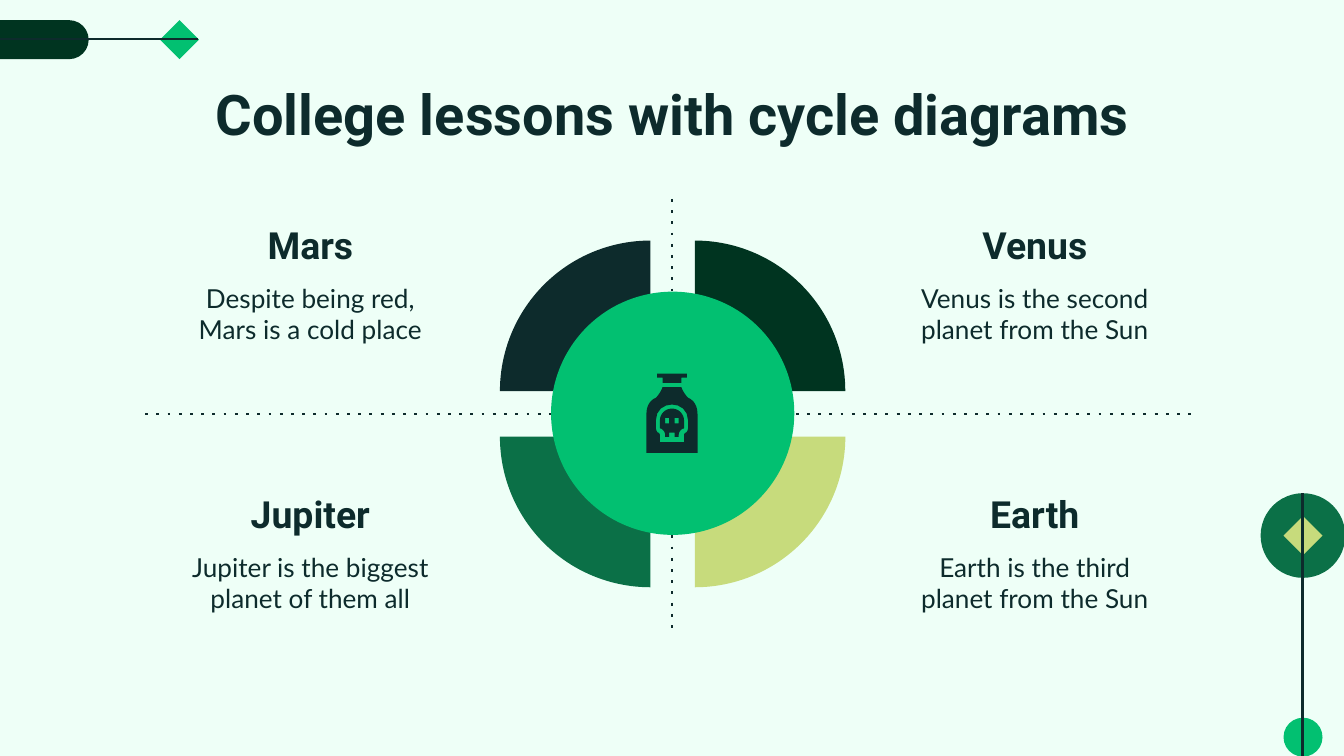
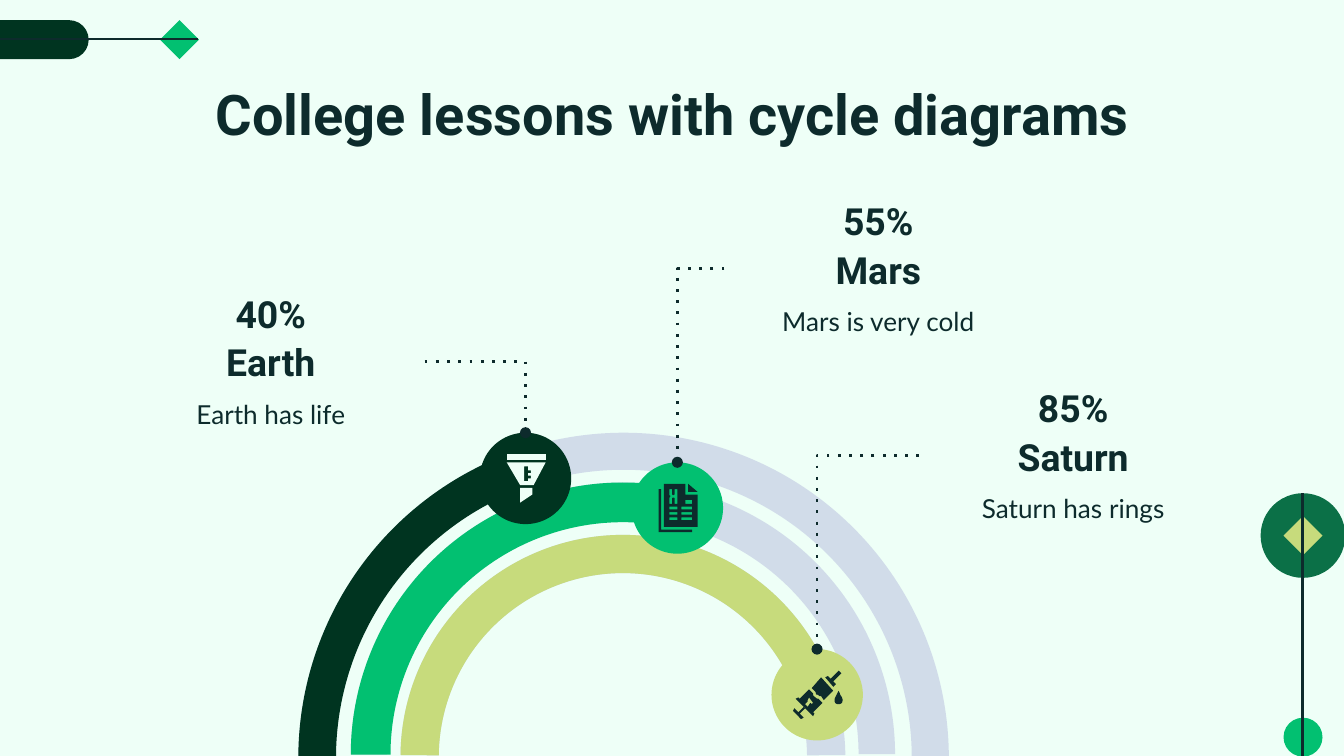
from lxml.etree import SubElement
from pptx import Presentation
from pptx.dml.color import RGBColor
from pptx.enum.shapes import MSO_CONNECTOR, MSO_SHAPE
from pptx.enum.text import MSO_ANCHOR, MSO_AUTO_SIZE, PP_ALIGN
from pptx.oxml.ns import qn
from pptx.util import Inches, Pt

COLORS = {
    "background": "EEFFF7",
    "ink": "0D2B2C",
    "forest": "003420",
    "green": "0B7047",
    "emerald": "02C071",
    "lime": "C7DB7C",
    "track": "5E54B5",
}
TITLE = "College lessons with cycle diagrams"


def rectangle(left, top, right, bottom):
    return [(left, top), (right, top), (right, bottom), (left, bottom)]


def flatten(contour, steps=8):
    """Turn a contour of (x, y) points and six-number Bézier curves into points."""
    points = []
    for part in contour:
        if len(part) == 2:
            points.append(part)
            continue
        x0, y0 = points[-1]
        x1, y1, x2, y2, x3, y3 = part
        for step in range(1, steps + 1):
            t = step / steps
            u = 1 - t
            weights = (u ** 3, 3 * u * u * t, 3 * u * t * t, t ** 3)
            points.append((
                sum(w * x for w, x in zip(weights, (x0, x1, x2, x3))),
                sum(w * y for w, y in zip(weights, (y0, y1, y2, y3))),
            ))
    return points


# Icons: each is a list of outlines, each outline a list of contours
BOTTLE = [
    [[(4.93, 2.85), (5.07, 2.85), (5.07, 2.81), (5.11, 2.81), (5.11, 2.78),
      (4.89, 2.78), (4.89, 2.81), (4.93, 2.81)]],
    [[(5, 3.04), (4.95, 3.04, 4.91, 3.08, 4.91, 3.13), (4.91, 3.18),
      (4.91, 3.19, 4.92, 3.19, 4.92, 3.19), (4.94, 3.2, 4.95, 3.22, 4.95, 3.24),
      (4.95, 3.25), (4.98, 3.25), (4.98, 3.22), (5.02, 3.22), (5.02, 3.25),
      (5.05, 3.25), (5.05, 3.24), (5.05, 3.22, 5.06, 3.2, 5.08, 3.19),
      (5.09, 3.19, 5.09, 3.19, 5.09, 3.18), (5.09, 3.13),
      (5.09, 3.08, 5.05, 3.04, 5, 3.04)],
     rectangle(4.95, 3.11, 4.98, 3.15), rectangle(5.02, 3.11, 5.05, 3.15)],
    [[(5.12, 2.96), (5.1, 2.94, 5.08, 2.91, 5.07, 2.88), (4.93, 2.88),
      (4.92, 2.91, 4.9, 2.94, 4.88, 2.96), (4.83, 2.98, 4.81, 3.03, 4.81, 3.08),
      (4.81, 3.37), (5.19, 3.37), (5.19, 3.08),
      (5.19, 3.03, 5.17, 2.98, 5.12, 2.96)],
     [(5.12, 3.18), (5.12, 3.2, 5.11, 3.22, 5.1, 3.22),
      (5.09, 3.23, 5.09, 3.23, 5.09, 3.24), (5.09, 3.29), (4.91, 3.29),
      (4.91, 3.24), (4.91, 3.23, 4.91, 3.23, 4.9, 3.22),
      (4.89, 3.22, 4.88, 3.2, 4.88, 3.18), (4.88, 3.13),
      (4.88, 2.97, 5.12, 2.97, 5.12, 3.13)]],
]
FUNNEL = [
    [[(3.77, 3.44), (3.87, 3.61), (3.97, 3.61), (4.06, 3.44)],
     [(3.95, 3.54), (3.95, 3.56), (3.93, 3.56), (3.93, 3.58), (3.9, 3.58),
      (3.9, 3.47), (3.93, 3.47), (3.93, 3.5), (3.95, 3.5), (3.95, 3.52),
      (3.93, 3.52), (3.93, 3.54)]],
    [rectangle(3.77, 3.38, 4.06, 3.42)],
    [[(3.87, 3.63), (3.87, 3.74), (3.96, 3.68), (3.96, 3.63)]],
]
REPORT = [
    [[(4.92, 3.64), (4.9, 3.64), (4.9, 3.96), (5.15, 3.96), (5.15, 3.94),
      (4.92, 3.94)]],
    [[(5.12, 3.6), (5.12, 3.66), (5.19, 3.66)]],
    [[(5.1, 3.68), (5.1, 3.6), (4.94, 3.6), (4.94, 3.92), (5.19, 3.92), (5.19, 3.68)],
     [(5.04, 3.67), (5.04, 3.68, 5.04, 3.69, 5.04, 3.69),
      (5.04, 3.7, 5.04, 3.71, 5.04, 3.71), (5.04, 3.75), (5.02, 3.75), (5.02, 3.71),
      (5.02, 3.7, 5, 3.7, 5, 3.71), (5, 3.75), (4.98, 3.75), (4.98, 3.71),
      (4.98, 3.71, 4.98, 3.7, 4.99, 3.69), (4.98, 3.69, 4.98, 3.68, 4.98, 3.67),
      (4.98, 3.64), (5, 3.64), (5, 3.67), (5, 3.69, 5.02, 3.69, 5.02, 3.67),
      (5.02, 3.64), (5.04, 3.64)],
     rectangle(5.1, 3.72, 5.15, 3.75)]
    + [rectangle(left, top, right, top + 0.02)
       for left, right in ((4.98, 5.04), (5.07, 5.15))
       for top in (3.77, 3.81, 3.85)],
]
SYRINGE = [
    [[(5.94, 5.3), (5.91, 5.27), (5.9, 5.29), (5.96, 5.35), (5.98, 5.34),
      (5.95, 5.31), (5.99, 5.27), (5.98, 5.26)]],
    [[(6.2, 5.07), (6.26, 5.01), (6.24, 4.99), (6.18, 5.05), (6.16, 5.03),
      (6.14, 5.04), (6.2, 5.11), (6.22, 5.09)]],
    [[(6.04, 5.12), (6.06, 5.14), (6.07, 5.15, 6.07, 5.15, 6.07, 5.16),
      (6.07, 5.17, 6.08, 5.17, 6.09, 5.17), (6.09, 5.18, 6.1, 5.18, 6.11, 5.18),
      (6.13, 5.21), (6.2, 5.14), (6.11, 5.04)]],
    [[(6.09, 5.2), (6.09, 5.2, 6.09, 5.2, 6.08, 5.2),
      (6.07, 5.19, 6.05, 5.18, 6.05, 5.17), (6.05, 5.16, 6.05, 5.16, 6.05, 5.16),
      (6.02, 5.13), (5.95, 5.2), (5.94, 5.19), (5.92, 5.2), (5.94, 5.22),
      (5.98, 5.26), (5.99, 5.27), (6.05, 5.33), (6.06, 5.31), (6.05, 5.3),
      (6.12, 5.23)],
     [(6.04, 5.24), (6.03, 5.23), (6.01, 5.26), (5.99, 5.24), (6.01, 5.22),
      (6.01, 5.21), (6.02, 5.19), (6.05, 5.23)]],
    [[(6.26, 5.18), (6.25, 5.17, 6.25, 5.16, 6.25, 5.16), (6.24, 5.14),
      (6.23, 5.16, 6.23, 5.16, 6.22, 5.18), (6.21, 5.2, 6.21, 5.2, 6.21, 5.21),
      (6.21, 5.23, 6.22, 5.24, 6.24, 5.24), (6.26, 5.24, 6.27, 5.23, 6.27, 5.21),
      (6.27, 5.2, 6.27, 5.2, 6.26, 5.18)]],
]


class Deck:
    def __init__(self):
        self.presentation = Presentation()
        self.presentation.slide_width = Inches(10)
        self.presentation.slide_height = Inches(10) * 9 // 16
        self.layout = self.presentation.slide_layouts[5]
        self.slide = None
        self.style_layout()

    def style_layout(self):
        fill = self.layout.background.fill
        fill.solid()
        fill.fore_color.rgb = RGBColor.from_string(COLORS["background"])
        for placeholder in list(self.layout.placeholders)[1:]:
            placeholder.element.getparent().remove(placeholder.element)

    def add_slide(self, title):
        self.slide = self.presentation.slides.add_slide(self.layout)
        shape = self.slide.shapes.title
        shape.left, shape.top = Inches(0.79), Inches(0.49)
        shape.width, shape.height = Inches(8.43), Inches(0.63)
        self.set_text(shape, title, "Roboto", 30, bold=True)

    def share_decoration(self):
        """Draw the side ornaments and move them to the layout."""
        ornaments = [
            self.shape(MSO_SHAPE.OVAL, 9.38, 3.67, 0.63, 0.63, "green"),
            self.shape(MSO_SHAPE.DIAMOND, 9.55, 3.84, 0.29, 0.29, "lime"),
            self.shape(MSO_SHAPE.OVAL, 9.55, 5.34, 0.29, 0.29, "emerald"),
            self.line((9.69, 3.67), (9.69, 5.63)),
            self.shape(MSO_SHAPE.ROUNDED_RECTANGLE, -0.69, 0.15, 1.35, 0.29,
                       "forest", [0.5]),
            self.shape(MSO_SHAPE.DIAMOND, 1.19, 0.15, 0.29, 0.29, "emerald"),
            self.line((-0.48, 0.29), (1.47, 0.29)),
        ]
        for ornament in ornaments:
            self.layout.shapes.element.append(ornament.element)

    def paint(self, shape, color, opacity=None):
        shape.shadow.inherit = False
        shape.line.fill.background()
        shape.fill.solid()
        shape.fill.fore_color.rgb = RGBColor.from_string(COLORS[color])
        if opacity is not None:
            rgb = shape.element.spPr.find(qn("a:solidFill")).find(qn("a:srgbClr"))
            SubElement(rgb, qn("a:alpha")).set("val", str(opacity * 1000))

    def shape(self, kind, left, top, width, height, color, adjustments=(), opacity=None):
        shape = self.slide.shapes.add_shape(
            kind, Inches(left), Inches(top), Inches(width), Inches(height))
        for index, value in enumerate(adjustments):
            shape.adjustments[index] = value
        self.paint(shape, color, opacity)
        return shape

    def arc(self, kind, left, top, size, color, start, end, thickness=(), opacity=None):
        # An angle adjustment is 0.6 per degree
        self.shape(kind, left, top, size, size, color,
                   [start * 0.6, end * 0.6, *thickness], opacity)

    def line(self, begin, end, dotted=False, bent=False):
        kind = MSO_CONNECTOR.ELBOW if bent else MSO_CONNECTOR.STRAIGHT
        connector = self.slide.shapes.add_connector(
            kind, *(Inches(value) for value in (*begin, *end)))
        connector.line.width = Pt(1.5)
        connector.line.color.rgb = RGBColor.from_string(COLORS["ink"])
        properties = connector.element.spPr
        outline = properties.find(qn("a:ln"))
        if dotted:
            SubElement(outline, qn("a:prstDash")).set("val", "dot")
        if bent:
            properties.find(qn("a:prstGeom")).set("prst", "bentConnector2")
            SubElement(outline, qn("a:tailEnd")).set("type", "oval")
        SubElement(properties, qn("a:effectLst"))
        return connector

    def icon(self, outlines, color):
        group = self.slide.shapes.add_group_shape()
        for contours in outlines:
            builder = None
            for contour in contours:
                points = [(Inches(x), Inches(y)) for x, y in flatten(contour)]
                if builder is None:
                    builder = group.shapes.build_freeform(*points[0])
                else:
                    builder.move_to(*points[0])
                builder.add_line_segments(points[1:], close=True)
            self.paint(builder.convert_to_shape(), color)

    def set_text(self, shape, text, font, size, bold=False, anchor=MSO_ANCHOR.TOP,
                 inset=0.1, spacing=None):
        frame = shape.text_frame
        frame.word_wrap = True
        frame.auto_size = MSO_AUTO_SIZE.NONE
        frame.vertical_anchor = anchor
        frame.margin_left = frame.margin_right = Inches(0.1)
        frame.margin_top = frame.margin_bottom = Inches(inset)
        frame.text = text
        paragraph = frame.paragraphs[0]
        paragraph.alignment = PP_ALIGN.CENTER
        if spacing:
            paragraph.line_spacing = spacing
        paragraph.font.name = font
        paragraph.font.size = Pt(size)
        paragraph.font.bold = bold
        paragraph.font.color.rgb = RGBColor.from_string(COLORS["ink"])

    def text_box(self, left, top, width, height):
        return self.slide.shapes.add_textbox(
            Inches(left), Inches(top), Inches(width), Inches(height))

    def heading(self, text, left, top, width, height, **style):
        self.set_text(self.text_box(left, top, width, height), text, "Roboto", 20,
                      bold=True, anchor=MSO_ANCHOR.BOTTOM, **style)

    def body(self, text, left, top, width, height, **style):
        self.set_text(self.text_box(left, top, width, height), text, "Lato", 14, **style)


def build_quadrants(deck):
    # Quarter rings: colour, column, row, start angle, name, description
    quarters = [
        ("ink", 0, 0, 180, "Mars", "Despite being red, Mars is a cold place"),
        ("forest", 1, 0, 270, "Venus", "Venus is the second planet from the Sun"),
        ("green", 0, 1, 90, "Jupiter", "Jupiter is the biggest planet of them all"),
        ("lime", 1, 1, 0, "Earth", "Earth is the third planet from the Sun"),
    ]
    for color, column, row, start, name, description in quarters:
        deck.arc(MSO_SHAPE.PIE, 3.72 + 0.33 * column, 1.79 + 0.34 * row, 2.24,
                 color, start, (start + 90) % 360)
        left, top = 1.23 + 5.39 * column, 1.48 + 2 * row
        deck.heading(name, left, top, 2.16, 0.61)
        deck.body(description, left, top + 0.52, 2.16, 0.67)

    # Dotted axes and the centre
    deck.line((1.08, 3.08), (8.92, 3.08), dotted=True)
    deck.line((5, 1.48), (5, 4.67), dotted=True)
    deck.shape(MSO_SHAPE.OVAL, 4.1, 2.17, 1.81, 1.81, "emerald")
    deck.icon(BOTTLE, "ink")


def build_progress_arcs(deck):
    # Rings: colour, left, top, size, start, end, track and value thickness
    rings = [
        ("forest", 2.22, 3.22, 4.84, 180.37, 247.63, 0.057, 0.058),
        ("emerald", 2.61, 3.59, 4.05, 180, 280.37, 0.067, 0.073),
        ("lime", 2.98, 3.98, 3.31, 180.59, 344.08, 0.086, 0.086),
    ]
    for _, left, top, size, start, _, thickness, _ in rings:
        deck.arc(MSO_SHAPE.BLOCK_ARC, left, top, size, "track", start,
                 min(540 - start, 359.9), [thickness], opacity=20)
    for color, left, top, size, start, end, _, thickness in rings:
        deck.arc(MSO_SHAPE.BLOCK_ARC, left, top, size, color, start, end, [thickness])

    # Callouts: value, name, text, box corner, marker corner, line start, colours, icon
    callouts = [
        ("40%", "Earth", "Earth has life", (0.87, 2.11), (3.57, 3.22), 3.16,
         "forest", FUNNEL, "background"),
        ("55%", "Mars", "Mars is very cold", (5.39, 1.42), (4.7, 3.44), 5.39,
         "emerald", REPORT, "ink"),
        ("85%", "Saturn", "Saturn has rings", (6.84, 2.81), (5.74, 4.83), 6.84,
         "lime", SYRINGE, "ink"),
    ]
    for value, name, text, box, marker, line_start, color, icon, icon_color in callouts:
        left, top = box
        deck.heading(value, left, top, 2.29, 0.44, inset=0.05, spacing=1.15)
        deck.heading(name, left, top + 0.36, 2.29, 0.44, inset=0.05, spacing=1.15)
        deck.body(text, left, top + 0.72, 2.29, 0.44, spacing=1.15)
        x, y = marker
        deck.shape(MSO_SHAPE.OVAL, x, y, 0.68, 0.68, color)
        deck.line((line_start, top + 0.58), (x + 0.34, y), dotted=True, bent=True)
        deck.icon(icon, icon_color)


def main():
    deck = Deck()
    deck.add_slide(TITLE)
    deck.share_decoration()
    build_quadrants(deck)
    deck.add_slide(TITLE)
    build_progress_arcs(deck)
    deck.presentation.save("out.pptx")


if __name__ == "__main__":
    main()
